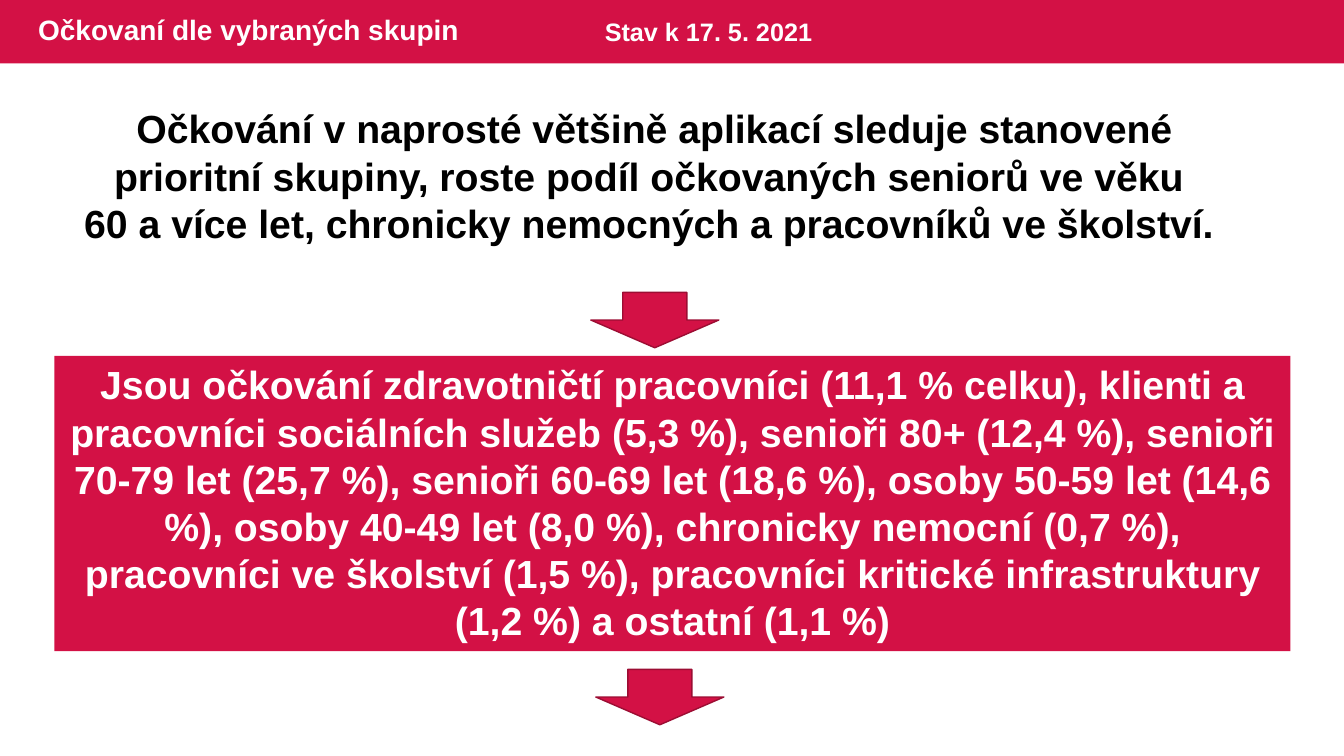
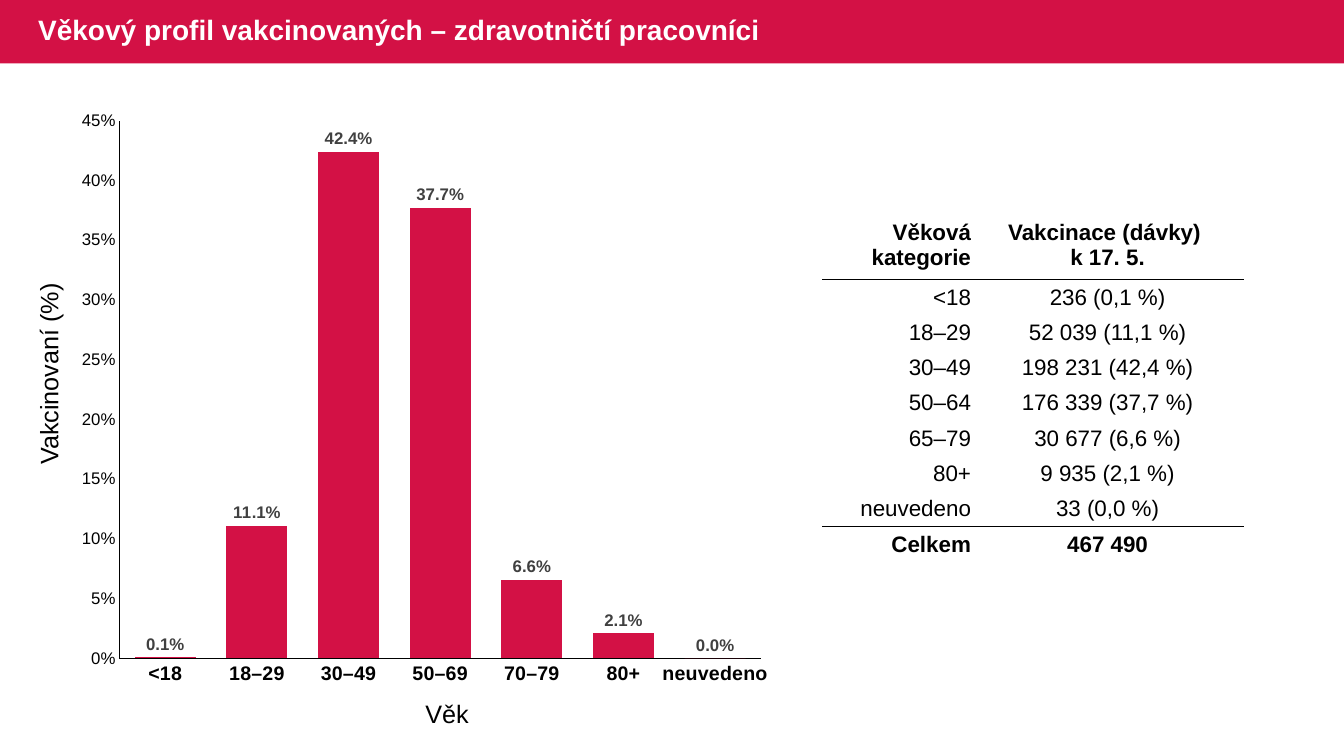
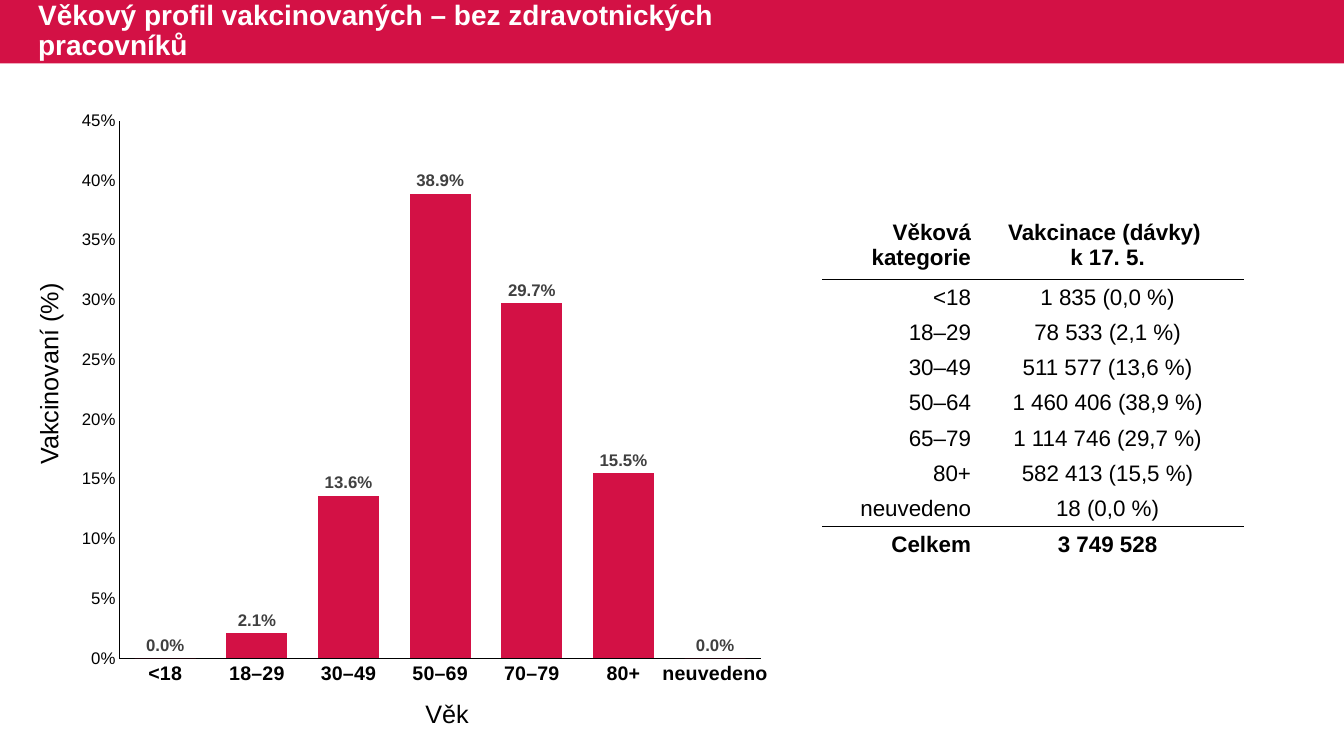
import pptx
import pptx.chart.data
import pptx.dml.color
import pptx.enum.chart
import pptx.enum.shapes
import pptx.enum.text
import pptx.oxml
import pptx.oxml.ns
import pptx.util

Inches = pptx.util.Inches
Pt = pptx.util.Pt
qn = pptx.oxml.ns.qn
Kind = pptx.enum.shapes.MSO_SHAPE
Align = pptx.enum.text.PP_ALIGN
Anchor = pptx.enum.text.MSO_ANCHOR
Fit = pptx.enum.text.MSO_AUTO_SIZE
Chart = pptx.enum.chart

RED, DARK, WHITE, BLACK, GREY = "D31145", "9C0D33", "FFFFFF", "000000", "404040"
BARS = ["<18", "18–29", "30–49", "50–69", "70–79", "80+", "neuvedeno"]
AGES = ["<18", "18–29", "30–49", "50–64", "65–79", "80+", "neuvedeno", "Celkem"]
HEAD = [["Věková kategorie"], ["Vakcinace (dávky) ", "k 17. 5."]]
RULES = (0, 7)

PAGES = [
    {
        "title": "Věkový profil vakcinovaných – zdravotničtí pracovníci",
        "parts": [0.001, 0.111, 0.424, 0.377, 0.066, 0.021, 0],
        "doses": ["236 (0,1 %)", "52 039 (11,1 %)", "198 231 (42,4 %)",
                  "176 339 (37,7 %)", "30 677 (6,6 %)", "9 935 (2,1 %)",
                  "33 (0,0 %)", "467 490"],
    },
    {
        "title": "Věkový profil vakcinovaných – bez zdravotnických pracovníků",
        "parts": [0, 0.021, 0.136, 0.389, 0.297, 0.155, 0],
        "doses": ["1 835 (0,0 %)", "78 533 (2,1 %)", "511 577 (13,6 %)",
                  "1 460 406 (38,9 %)", "1 114 746 (29,7 %)", "582 413 (15,5 %)",
                  "18 (0,0 %)", "3 749 528"],
    },
]


def tint(code):
    return pptx.dml.color.RGBColor.from_string(code)


def put(thing, **values):
    for name, value in values.items():
        setattr(thing, name, value)


class Deck:
    face = "Arial"

    def __init__(self):
        self.deck = pptx.Presentation()
        put(self.deck, slide_width=Inches(13.33), slide_height=Inches(7.5))
        self.slide = None

    def page(self, title):
        self.slide = self.deck.slides.add_slide(self.deck.slide_layouts[6])
        self.block(Kind.RECTANGLE, (0, 0, 13.33, 0.63))
        self.text([title], (0.28, 0, 8.13, 0.63), 20, WHITE, bold=True,
                  anchor=Anchor.MIDDLE, space=0.9, fit=Fit.NONE)

    def font(self, font, size, code=BLACK, bold=False):
        put(font, name=self.face, size=Pt(size), bold=bold)
        font.color.rgb = tint(code)

    def fill(self, frame, lines, size, code=BLACK, bold=False,
             align=Align.LEFT, space=None):
        for spot, line in enumerate(lines):
            para = frame.add_paragraph() if spot else frame.paragraphs[0]
            put(para, alignment=align, line_spacing=space)
            run = para.add_run()
            run.text = line
            self.font(run.font, size, code, bold)

    def text(self, lines, box, size, code=BLACK, bold=False, align=Align.LEFT,
             anchor=Anchor.TOP, space=None, fit=Fit.SHAPE_TO_FIT_TEXT,
             wrap=True, turn=0):
        shape = self.slide.shapes.add_textbox(*map(Inches, box))
        shape.rotation = turn
        put(shape.text_frame, word_wrap=wrap, auto_size=fit,
            vertical_anchor=anchor)
        self.fill(shape.text_frame, lines, size, code, bold, align, space)

    def block(self, kind, box, edge=None):
        shape = self.slide.shapes.add_shape(kind, *map(Inches, box))
        shape.shadow.inherit = False
        shape.fill.solid()
        shape.fill.fore_color.rgb = tint(RED)
        if edge:
            shape.line.color.rgb = tint(edge)
            shape.line.width = Pt(1)
        else:
            shape.line.fill.background()
        return shape

    def arrow(self, left, top):
        self.block(Kind.DOWN_ARROW, (left, top, 1.27, 0.55), DARK)

    def panel(self, lines, box, size):
        frame = self.block(Kind.RECTANGLE, box).text_frame
        put(frame, word_wrap=True, vertical_anchor=Anchor.TOP,
            auto_size=Fit.SHAPE_TO_FIT_TEXT)
        self.fill(frame, lines, size, WHITE, True, Align.CENTER)

    def chart(self, parts, box):
        data = pptx.chart.data.CategoryChartData()
        data.categories = BARS
        data.add_series("Series 1", parts)
        chart = self.slide.shapes.add_chart(
            Chart.XL_CHART_TYPE.COLUMN_CLUSTERED, *map(Inches, box), data).chart
        put(chart, has_legend=False, has_title=False)
        self.font(chart.font, 10)
        plot = chart.plots[0]
        put(plot, gap_width=50, overlap=-27, vary_by_categories=False,
            has_data_labels=True)
        put(plot.data_labels, show_value=True, number_format="0.0%",
            number_format_is_linked=False,
            position=Chart.XL_LABEL_POSITION.OUTSIDE_END)
        self.font(plot.data_labels.font, 12, GREY, True)
        fill = plot.series[0].format.fill
        fill.solid()
        fill.fore_color.rgb = tint(RED)
        self.axis(chart.category_axis, 14, True)
        self.axis(chart.value_axis, 12, False)
        put(chart.value_axis, minimum_scale=0, maximum_scale=0.45, major_unit=0.05)
        put(chart.value_axis.tick_labels, number_format="0%",
            number_format_is_linked=False)
        self.place(chart, {"x": 0.07, "y": 0.04, "w": 0.9, "h": 0.9})

    def axis(self, axis, size, bold):
        none = Chart.XL_TICK_MARK.NONE
        put(axis, has_major_gridlines=False, major_tick_mark=none,
            minor_tick_mark=none)
        self.font(axis.tick_labels.font, size, BLACK, bold)
        axis.format.line.color.rgb = tint(BLACK)
        axis.format.line.width = Pt(0.75)

    def place(self, chart, sides):
        area = chart.plots[0]._element.getparent()
        for old in area.findall(qn("c:layout")):
            area.remove(old)
        modes = "".join(f'<c:{side}Mode val="edge"/>' for side in "xy")
        sizes = "".join(f'<c:{side} val="{part}"/>' for side, part in sides.items())
        area.insert(0, pptx.oxml.parse_xml(
            f'<c:layout {pptx.oxml.ns.nsdecls("c")}><c:manualLayout>'
            f'<c:layoutTarget val="inner"/>{modes}{sizes}'
            '</c:manualLayout></c:layout>'))

    def table(self, rows, box, wide, high):
        table = self.slide.shapes.add_table(
            len(rows), len(wide), *map(Inches, box)).table
        put(table, first_row=False, horz_banding=False)
        for col, width in zip(table.columns, wide):
            col.width = Inches(width)
        for spot, (row, height, cells) in enumerate(zip(table.rows, high, rows)):
            row.height = Inches(height)
            bold = spot in (0, len(rows) - 1)
            for cell, lines, align in zip(row.cells, cells,
                                          (Align.RIGHT, Align.CENTER)):
                put(cell, vertical_anchor=Anchor.MIDDLE, margin_left=Inches(0.01),
                    margin_right=Inches(0.01), margin_top=Inches(0.01),
                    margin_bottom=0)
                cell.fill.background()
                self.fill(cell.text_frame, lines, 16, BLACK, bold, align)
                self.edge(cell, spot)

    def edge(self, cell, spot):
        codes = {"L": WHITE, "R": WHITE,
                 "T": BLACK if spot - 1 in RULES else WHITE,
                 "B": BLACK if spot in RULES else WHITE}
        for order, (side, code) in enumerate(codes.items()):
            cell._tc.get_or_add_tcPr().insert(order, pptx.oxml.parse_xml(
                f'<a:ln{side} {pptx.oxml.ns.nsdecls("a")} w="{Pt(1)}"><a:solidFill>'
                f'<a:srgbClr val="{code}"/></a:solidFill></a:ln{side}>'))


def main():
    deck = Deck()
    deck.page("Očkovaní dle vybraných skupin")
    deck.text(["Stav k 17. 5. 2021"], (5.9, 0.11, 2.96, 0.4), 18, WHITE, bold=True)
    deck.text(["Očkování v naprosté většině aplikací sleduje stanovené prioritní "
               "skupiny, roste podíl očkovaných seniorů ve věku ",
               "60 a více let, chronicky nemocných a pracovníků ve školství. "],
              (0.7, 0.99, 11.58, 1.51), 28, bold=True, align=Align.CENTER)
    deck.arrow(5.86, 2.9)
    deck.panel(["Jsou očkování zdravotničtí pracovníci (11,1 % celku), klienti a "
                "pracovníci sociálních služeb (5,3 %), senioři 80+ (12,4 %), "
                "senioři 70-79 let (25,7 %), senioři 60-69 let (18,6 %), osoby "
                "50-59 let (14,6 %), osoby 40-49 let (8,0 %), chronicky nemocní "
                "(0,7 %), pracovníci ve školství (1,5 %), pracovníci kritické "
                "infrastruktury (1,2 %) a ostatní (1,1 %)"],
               (0.54, 3.53, 12.26, 2.93), 28)
    deck.arrow(5.91, 6.64)

    for page in PAGES:
        deck.page(page["title"])
        deck.chart(page["parts"], (0.69, 0.96, 7.07, 5.93))
        deck.text(["Věk"], (4.12, 6.88, 0.64, 0.4), 18, wrap=False)
        deck.text(["Vakcinovaní (%)"], (-0.53, 3.5, 2.02, 0.4), 18,
                  wrap=False, turn=270)
        rows = [HEAD] + [[[age], [dose]] for age, dose in zip(AGES, page["doses"])]
        deck.table(rows, (8.16, 2.09, 4.17, 3.45), (1.48, 2.69),
                   [0.68] + [0.35] * len(AGES))

    deck.deck.save("out.pptx")


if __name__ == "__main__":
    main()
